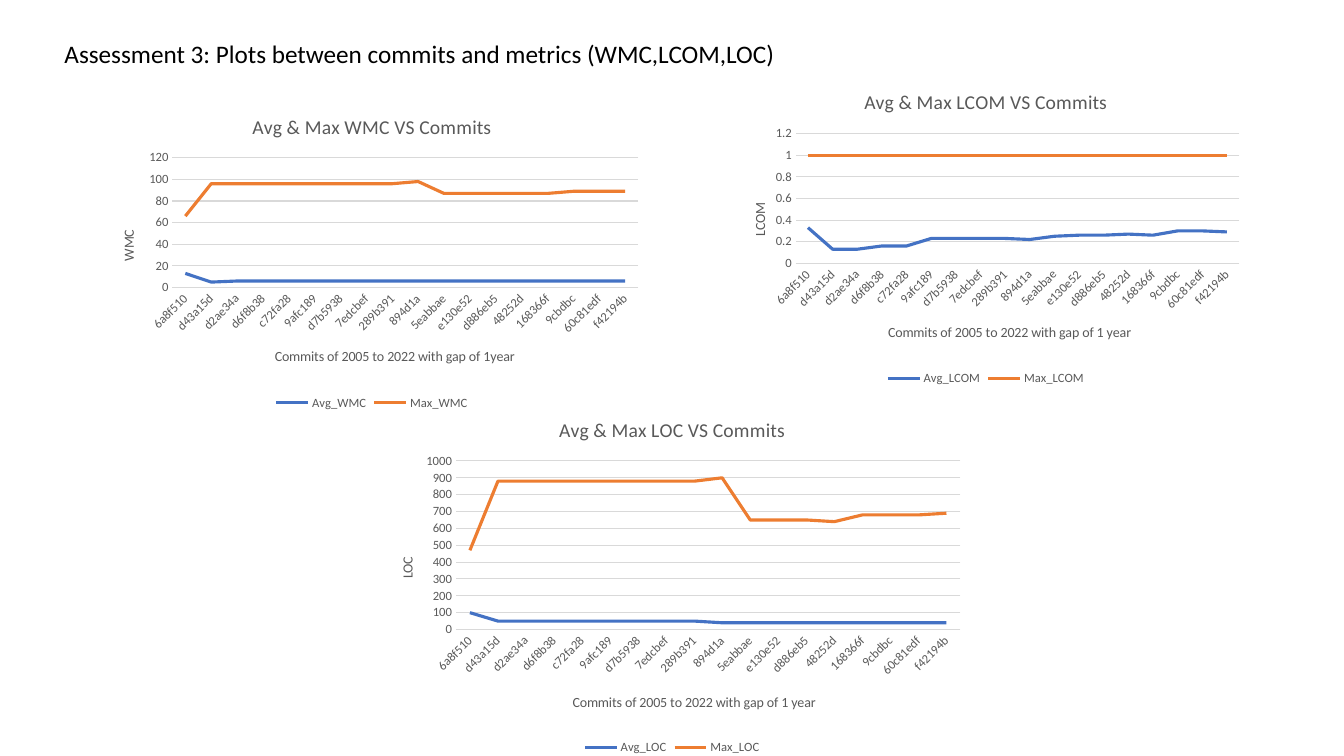
from lxml import etree
from pptx import Presentation
from pptx.chart.data import CategoryChartData
from pptx.dml.color import RGBColor
from pptx.enum.chart import XL_CHART_TYPE, XL_LEGEND_POSITION, XL_TICK_MARK
from pptx.enum.text import MSO_ANCHOR, MSO_AUTO_SIZE, PP_ALIGN
from pptx.oxml.ns import qn
from pptx.util import Cm, Pt

FONT = "Calibri"
BLACK, GREY, GRID = "000000", "595959", "D9D9D9"
SERIES_COLORS = {"Avg": "4472C4", "Max": "ED7D31"}

TITLE = "Assessment 3: Plots between commits and metrics (WMC,LCOM,LOC)"
COMMITS = ["6a8f510", "d43a15d", "d2ae34a", "d6f8b38", "c72fa28", "9afc189",
           "d7b5938", "7edcbef", "289b391", "894d1a", "5eabbae", "e130e52",
           "d886eb5", "48252d", "168366f", "9cbdbc", "60c81edf", "f42194b"]

# box: left, top, width, height in cm; the other places are fractions of the box
CHARTS = [
    dict(metric="LCOM", gap="1 year", box=(18.19, 1.85, 13.31, 7.98),
         top=1.2, step=0.2,
         plot=(0.14, 0.19, 0.84, 0.41), cat_at=(0.31, 0.78), val_at=(0.05, 0.4),
         Avg=[0.33, 0.13, 0.13, 0.16, 0.16, 0.23, 0.23, 0.23, 0.23,
              0.22, 0.25, 0.26, 0.26, 0.27, 0.26, 0.3, 0.3, 0.29],
         Max=[1] * 18),
    dict(metric="WMC", gap="1year", box=(2.39, 2.46, 13.97, 7.98),
         top=120, step=20,
         plot=(0.14, 0.19, 0.84, 0.41), cat_at=(0.32, 0.78), val_at=(0.04, 0.41),
         Avg=[13, 5] + [6] * 16,
         Max=[66] + [96] * 8 + [98] + [87] * 5 + [89] * 3),
    dict(metric="LOC", gap="1 year", box=(9.37, 10.08, 15.14, 9.04),
         top=1000, step=100,
         plot=(0.14, 0.17, 0.84, 0.47), cat_at=(0.33, 0.81), val_at=(0.04, 0.43),
         Avg=[100] + [50] * 8 + [40] * 9,
         Max=[470] + [880] * 8 + [900] + [650] * 3 + [640] + [680] * 3 + [690]),
]


def rgb(color):
    """Turn a hex string into a colour."""
    return RGBColor.from_string(color)


def style_font(font, size, color):
    """Set face, size and colour of a font."""
    font.name, font.size, font.bold = FONT, Pt(size), False
    font.color.rgb = rgb(color)


def style_line(line, color, width):
    """Set colour and width of a line."""
    line.color.rgb = rgb(color)
    line.width = Pt(width)


def place(parent, index, values, inner=False):
    """Give a chart part a manual layout, in fractions of the chart."""
    for old in parent.findall(qn("c:layout")):
        parent.remove(old)
    layout = etree.Element(qn("c:layout"))
    manual = etree.SubElement(layout, qn("c:manualLayout"))
    settings = [("layoutTarget", "inner")] if inner else []
    settings += [("xMode", "edge"), ("yMode", "edge")]
    settings += zip("xywh", values)
    for tag, value in settings:
        etree.SubElement(manual, qn("c:" + tag)).set("val", str(value))
    parent.insert(index, layout)


def set_title(owner, text, size):
    """Write the title of a chart or an axis."""
    frame = owner.text_frame
    frame.text = text
    style_font(frame.paragraphs[0].runs[0].font, size, GREY)
    return frame


def style_axis(axis, title, title_at):
    """Format the labels, tick marks and title of an axis."""
    axis.major_tick_mark = axis.minor_tick_mark = XL_TICK_MARK.NONE
    style_font(axis.tick_labels.font, 9, GREY)
    frame = set_title(axis.axis_title, title, 10)
    place(axis.axis_title._element, 1, title_at)
    return frame


def add_metric_chart(slide, spec):
    """Add the line chart of average and maximum of one metric."""
    metric = spec["metric"]
    data = CategoryChartData()
    data.categories = COMMITS
    for kind in SERIES_COLORS:
        data.add_series(f"{kind}_{metric}", spec[kind])
    chart = slide.shapes.add_chart(
        XL_CHART_TYPE.LINE, *map(Cm, spec["box"]), data).chart
    style_font(chart.font, 10, BLACK)
    set_title(chart.chart_title, f"Avg & Max {metric} VS Commits", 14)
    chart.chart_title.include_in_layout = False

    chart.has_legend = True
    chart.legend.position = XL_LEGEND_POSITION.BOTTOM
    chart.legend.include_in_layout = False
    style_font(chart.legend.font, 9, GREY)

    commits_axis, value_axis = chart.category_axis, chart.value_axis
    style_axis(commits_axis, f"Commits of 2005 to 2022 with gap of {spec['gap']}",
               spec["cat_at"])
    style_line(commits_axis.format.line, GRID, 0.75)
    labels = commits_axis._element.find(qn("c:txPr"))
    labels.find(qn("a:bodyPr")).set("rot", "-2700000")

    frame = style_axis(value_axis, metric, spec["val_at"])
    frame._txBody.find(qn("a:bodyPr")).set("rot", "-5400000")
    value_axis.minimum_scale, value_axis.maximum_scale = 0, spec["top"]
    value_axis.major_unit = spec["step"]
    value_axis.format.line.fill.background()
    style_line(value_axis.major_gridlines.format.line, GRID, 0.75)

    plot = chart.plots[0]
    plot.vary_by_categories = False
    for series, color in zip(plot.series, SERIES_COLORS.values()):
        series.smooth = False
        style_line(series.format.line, color, 2.25)
    place(plot._element.getparent(), 0, spec["plot"], inner=True)


def add_heading(slide):
    """Move and format the title placeholder."""
    title = slide.shapes.title
    title.left, title.top, title.width, title.height = map(
        Cm, (1.37, 0.84, 18.62, 1.02))
    frame = title.text_frame
    frame.text = TITLE
    frame.word_wrap = False
    frame.auto_size = MSO_AUTO_SIZE.NONE
    frame.vertical_anchor = MSO_ANCHOR.MIDDLE
    paragraph = frame.paragraphs[0]
    paragraph.alignment = PP_ALIGN.LEFT
    style_font(paragraph.runs[0].font, 18, BLACK)


prs = Presentation()
prs.slide_width, prs.slide_height = Cm(33.87), Cm(19.05)
slide = prs.slides.add_slide(prs.slide_layouts.get_by_name("Title Only"))
add_heading(slide)
for spec in CHARTS:
    add_metric_chart(slide, spec)
prs.save("out.pptx")
